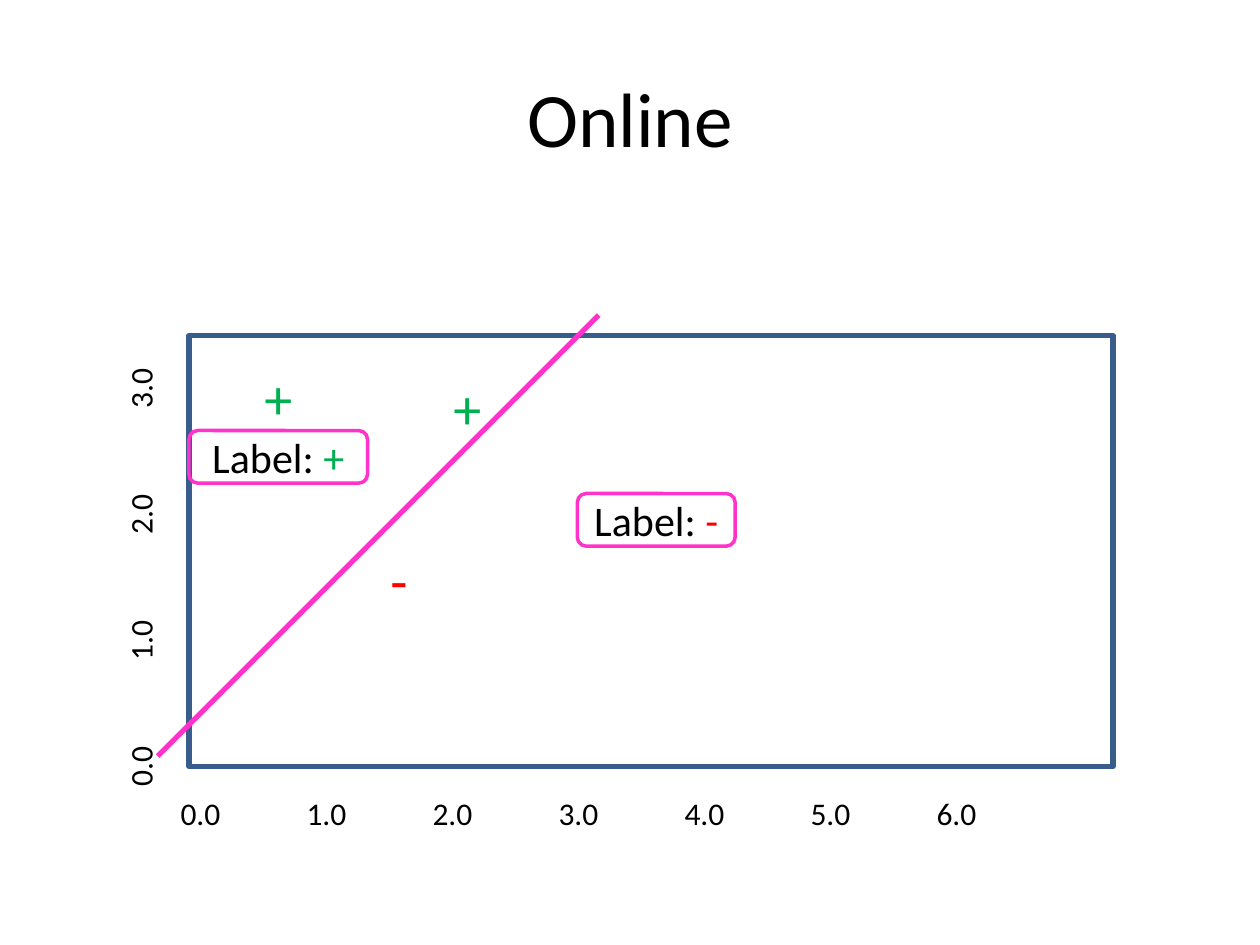
from lxml import etree
from pptx import Presentation
from pptx.dml.color import RGBColor
from pptx.enum import shapes, text
from pptx.oxml.ns import qn
from pptx.util import Cm, Pt

BLACK = RGBColor(0x00, 0x00, 0x00)
BLUE = RGBColor(0x38, 0x5D, 0x8A)
PINK = RGBColor(0xFF, 0x33, 0xCC)
GREEN = RGBColor(0x00, 0xB0, 0x50)
RED = RGBColor(0xFF, 0x00, 0x00)
SIGN_COLORS = {"+": GREEN, "-": RED}
FONT = "Calibri"
UNIT = 2.54  # centimetres between two axis values


def format_run(run, size, color):
    run.font.name = FONT
    run.font.size = Pt(size)
    run.font.color.rgb = color


def add_title(slide, wording):
    title = slide.shapes.title
    title.left, title.top, title.width, title.height = Cm(1.27), Cm(0.76), Cm(22.86), Cm(3.18)
    title.text_frame.text = wording
    title.text_frame.vertical_anchor = text.MSO_ANCHOR.MIDDLE
    paragraph = title.text_frame.paragraphs[0]
    paragraph.alignment = text.PP_ALIGN.CENTER
    format_run(paragraph.runs[0], 44, BLACK)


def add_text(slide, left, top, width, height, wording, size, color):
    box = slide.shapes.add_textbox(Cm(left), Cm(top), Cm(width), Cm(height))
    frame = box.text_frame
    frame.word_wrap = True
    frame.auto_size = text.MSO_AUTO_SIZE.SHAPE_TO_FIT_TEXT
    frame.text = wording
    format_run(frame.paragraphs[0].runs[0], size, color)
    return box


def add_axis(slide, left, top, count, rotation=0):
    """Write the axis values in one line, with a tab stop at every unit."""
    values = "".join(f"{value}.0\t" for value in range(count))
    box = add_text(slide, left, top, 19.69, 1.03, values, 18, BLACK)
    box.rotation = rotation
    properties = box.text_frame.paragraphs[0]._p.get_or_add_pPr()
    tab_list = etree.SubElement(properties, qn("a:tabLst"))
    for stop in range(8):
        etree.SubElement(tab_list, qn("a:tab"), pos=str(Cm(stop * UNIT)), algn="l")


def add_outline(slide, kind, left, top, width, height, color, weight):
    shape = slide.shapes.add_shape(kind, Cm(left), Cm(top), Cm(width), Cm(height))
    shape.shadow.inherit = False
    shape.fill.background()
    shape.line.color.rgb = color
    shape.line.width = Pt(weight)
    return shape


def add_boundary(slide, start, end):
    line = slide.shapes.add_connector(
        shapes.MSO_CONNECTOR.STRAIGHT, *(Cm(length) for length in start + end))
    line.line.color.rgb = PINK
    line.line.width = Pt(3)
    etree.SubElement(line._element.spPr, qn("a:effectLst"))


def add_sign(slide, left, top, sign):
    add_text(slide, left, top, 1.48, 1.62, sign, 32, SIGN_COLORS[sign])


def add_label(slide, left, top, width, sign):
    label = add_outline(slide, shapes.MSO_SHAPE.ROUNDED_RECTANGLE,
                        left, top, width, 1.06, PINK, 2)
    label.text_frame.vertical_anchor = text.MSO_ANCHOR.MIDDLE
    paragraph = label.text_frame.paragraphs[0]
    paragraph.alignment = text.PP_ALIGN.CENTER
    for wording, color in (("Label: ", BLACK), (sign, SIGN_COLORS[sign])):
        run = paragraph.add_run()
        run.text = wording
        format_run(run, 24, color)


def main():
    presentation = Presentation()
    presentation.slide_width, presentation.slide_height = Cm(25.4), Cm(19.05)
    slide = presentation.slides.add_slide(presentation.slide_layouts[5])

    add_title(slide, "Online")
    add_outline(slide, shapes.MSO_SHAPE.RECTANGLE, 3.81, 6.77, 18.63, 8.68, BLUE, 3)
    add_axis(slide, 3.39, 15.88, 7)
    add_axis(slide, -7.01, 5.74, 4, rotation=270)
    add_sign(slide, 7.62, 10.87, "-")
    add_sign(slide, 5.08, 7.2, "+")
    add_boundary(slide, (3.18, 15.24), (12.07, 6.35))
    add_label(slide, 11.64, 9.95, 3.18, "-")
    add_label(slide, 3.81, 8.68, 3.6, "+")
    add_sign(slide, 8.89, 7.41, "+")
    presentation.save("out.pptx")


if __name__ == "__main__":
    main()
